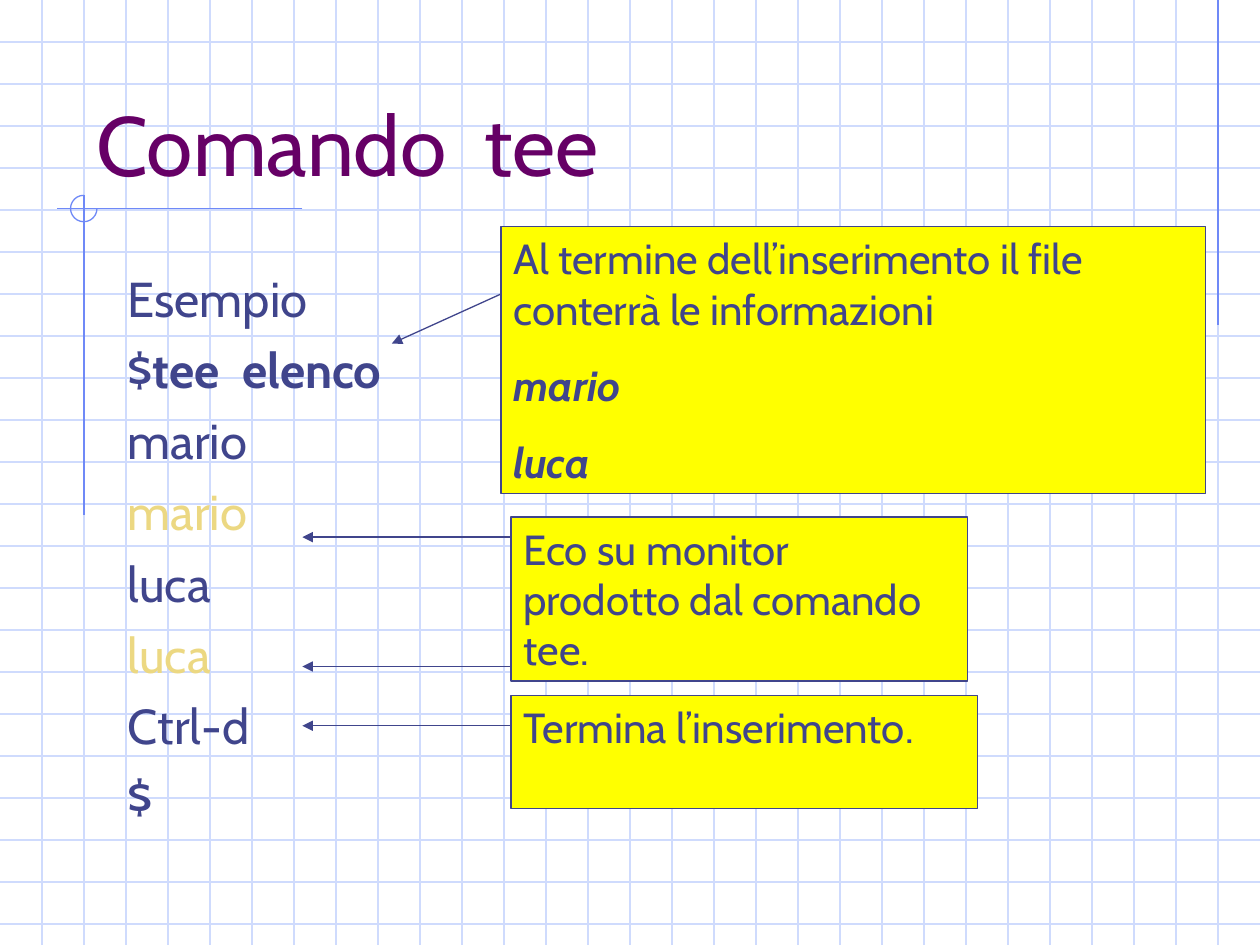
"""Build the slide that explains the tee command with notes on squared paper."""
from dataclasses import dataclass
from typing import NamedTuple

from lxml.etree import SubElement
from pptx import Presentation
from pptx.dml.color import RGBColor
from pptx.enum.shapes import MSO_CONNECTOR, MSO_SHAPE
from pptx.enum.text import MSO_ANCHOR, PP_ALIGN
from pptx.oxml.ns import qn
from pptx.shapes.autoshape import Shape
from pptx.slide import Slide
from pptx.text.text import TextFrame
from pptx.util import Inches, Length, Pt

COLORS = {
    "grid": "CFDBFD",
    "ornament": "6F89F7",
    "title": "660066",
    "ink": "40458C",
    "echo": "ECD882",
    "note": "FFFF00",
}
FONT = "Cabin"
CELLS_PER_INCH = 3
COLUMNS, ROWS = 30, 22.5


class Area(NamedTuple):
    column: float
    row: float
    columns: float
    rows: float


class Stroke(NamedTuple):
    start: tuple[float, float]
    end: tuple[float, float]


@dataclass(frozen=True)
class Span:
    text: str
    color: str = "ink"
    bold: bool = False
    italic: bool = False


@dataclass(frozen=True)
class Note:
    area: Area
    paragraphs: list[list[Span]]


TITLE_AREA = Area(2, 1, 25.5, 3.75)
SESSION_AREA = Area(2.75, 6.25, 25.5, 13.5)
RING_AREA = Area(1.68, 4.65, 0.63, 0.63)

ORNAMENTS = [
    Stroke((29, 0), (29, 7.74)),
    Stroke((7.2, 4.97), (1.36, 4.97)),
    Stroke((2, 4.65), (2, 12.27)),
]

SESSION = [
    [Span("Esempio")],
    [Span("$"), Span("tee  elenco", bold=True)],
    [Span("mario")],
    [Span("mario", "echo")],
    [Span("luca")],
    [Span("luca", "echo")],
    [Span("Ctrl-d")],
    [Span("$")],
]

NOTES = [
    Note(Area(12.17, 12.31, 10.87, 3.91),
         [[Span("Eco su monitor prodotto dal comando tee.")]]),
    Note(Area(12.17, 16.56, 11.1, 2.7), [[Span("Termina l’inserimento.")]]),
    Note(Area(11.93, 5.39, 16.78, 6.36), [
        [Span("Al termine dell’inserimento il file conterrà le informazioni")],
        [Span("mario", bold=True, italic=True)],
        [Span("luca", bold=True, italic=True)],
    ]),
]

ARROWS = [Stroke((12.17, row), (7.2, row)) for row in (12.79, 15.87, 17.28)]
ARROWS.append(Stroke((11.93, 7), (9.33, 8.18)))


def cells(count: float) -> Length:
    return Inches(count / CELLS_PER_INCH)


def rgb(name: str) -> RGBColor:
    return RGBColor.from_string(COLORS[name])


def draw_stroke(slide: Slide, stroke: Stroke, color: str, arrow: bool = False) -> None:
    ends = [cells(value) for value in (*stroke.start, *stroke.end)]
    connector = slide.shapes.add_connector(MSO_CONNECTOR.STRAIGHT, *ends)
    connector.line.color.rgb = rgb(color)
    connector.line.width = Pt(0.75)
    if arrow:
        SubElement(connector.line._get_or_add_ln(), qn("a:tailEnd"), type="triangle")
    SubElement(connector._element.spPr, qn("a:effectLst"))


def write(frame: TextFrame, paragraphs: list[list[Span]], size: float,
          gap: float = 0, anchor: MSO_ANCHOR = MSO_ANCHOR.TOP) -> None:
    frame.word_wrap = True
    frame.vertical_anchor = anchor
    for index, spans in enumerate(paragraphs):
        paragraph = frame.add_paragraph() if index else frame.paragraphs[0]
        paragraph.alignment = PP_ALIGN.LEFT
        paragraph.space_before = Pt(gap if index else 0)
        for span in spans:
            run = paragraph.add_run()
            run.text = span.text
            run.font.name = FONT
            run.font.size = Pt(size)
            run.font.bold = span.bold
            run.font.italic = span.italic
            run.font.color.rgb = rgb(span.color)


def draw_outline(slide: Slide, preset: MSO_SHAPE, area: Area, color: str) -> Shape:
    shape = slide.shapes.add_shape(preset, *map(cells, area))
    shape.shadow.inherit = False
    shape.line.color.rgb = rgb(color)
    shape.line.width = Pt(0.75)
    return shape


def draw_ring(slide: Slide) -> None:
    ring = draw_outline(slide, MSO_SHAPE.ARC, RING_AREA, "ornament")
    ring.fill.background()
    ring.adjustments[0] = 0
    ring.adjustments[1] = 162


def draw_note(slide: Slide, note: Note) -> None:
    box = draw_outline(slide, MSO_SHAPE.RECTANGLE, note.area, "ink")
    box.fill.solid()
    box.fill.fore_color.rgb = rgb("note")
    write(box.text_frame, note.paragraphs, size=24, gap=15)


def draw_paper(slide: Slide) -> None:
    for row in range(1, int(ROWS) + 1):
        draw_stroke(slide, Stroke((0, row), (COLUMNS, row)), "grid")
    for column in range(1, COLUMNS):
        draw_stroke(slide, Stroke((column, 0), (column, ROWS)), "grid")
    for ornament in ORNAMENTS:
        draw_stroke(slide, ornament, "ornament")
    draw_ring(slide)


def main() -> None:
    presentation = Presentation()
    presentation.slide_width = cells(COLUMNS)
    presentation.slide_height = cells(ROWS)
    slide = presentation.slides.add_slide(presentation.slide_layouts[6])
    draw_paper(slide)
    title = slide.shapes.add_textbox(*map(cells, TITLE_AREA))
    write(title.text_frame, [[Span("Comando  tee", "title")]], size=48,
          anchor=MSO_ANCHOR.BOTTOM)
    session = slide.shapes.add_textbox(*map(cells, SESSION_AREA))
    write(session.text_frame, SESSION, size=28, gap=7)
    for note in NOTES:
        draw_note(slide, note)
    for arrow in ARROWS:
        draw_stroke(slide, arrow, "ink", arrow=True)
    presentation.save("out.pptx")


if __name__ == "__main__":
    main()
